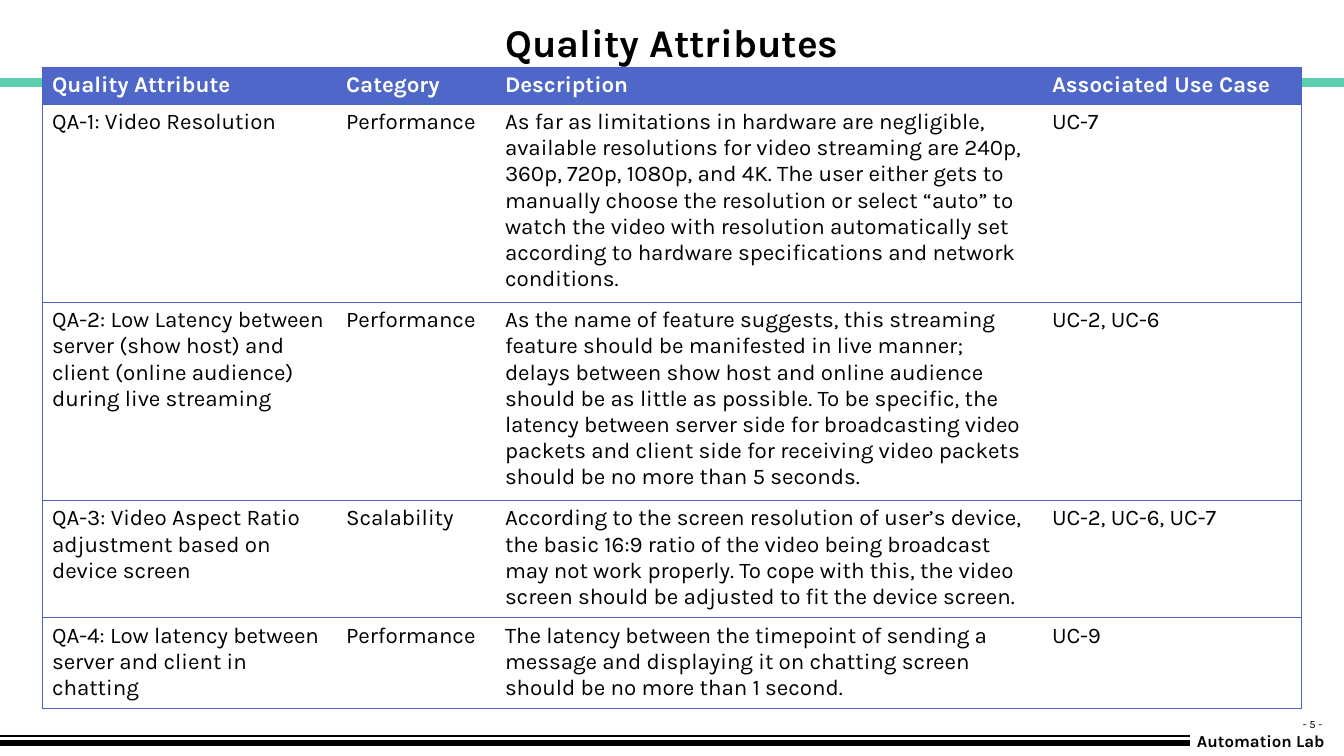
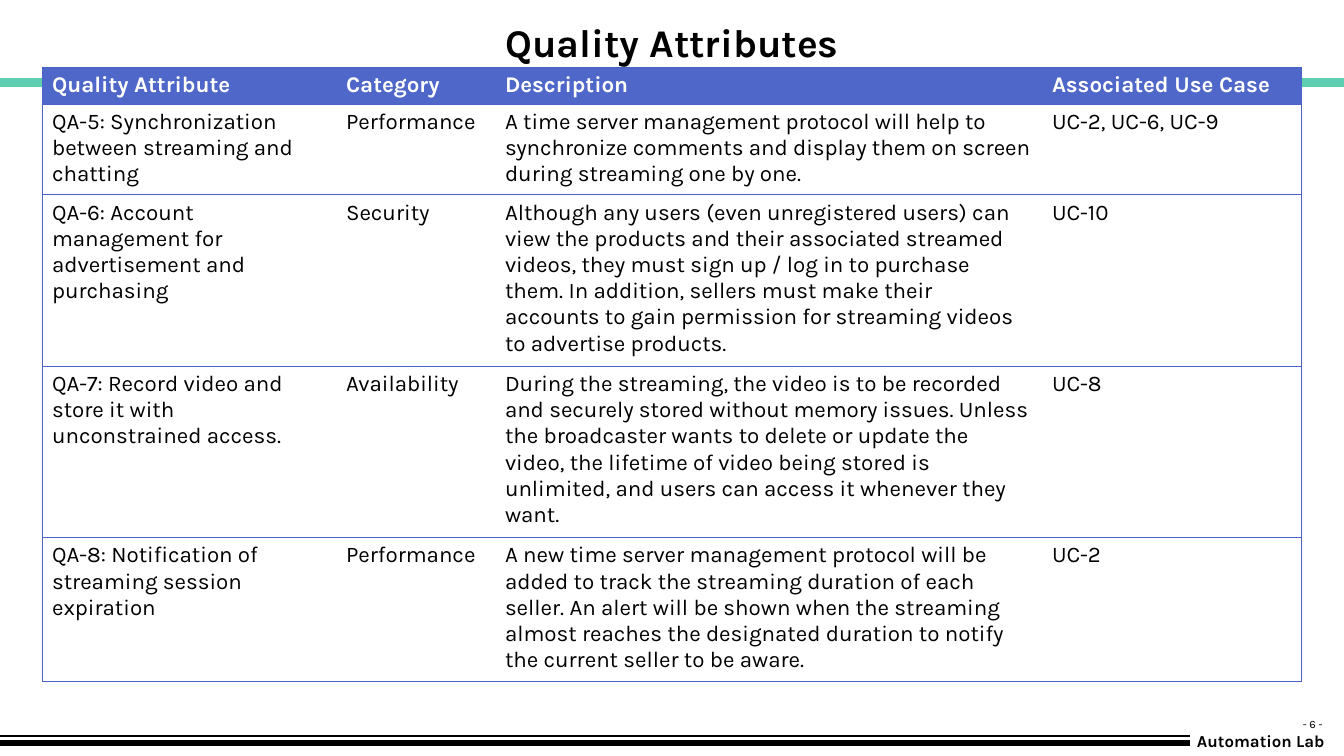
from lxml import etree
from pptx import Presentation
from pptx import util as u
from pptx.dml.color import RGBColor
from pptx.enum import shapes, text
from pptx.oxml.ns import qn

SCALE = 9071.43  # EMU in one pixel
FONT = "Karla"
HEX = {"ink": "000000", "paper": "FFFFFF", "head": "4E67C8",
       "rule": "4963C7", "mint": "5DCEAF"}
COLS = [294, 159, 547, 260]
LEFT, TOP = 42, 67
HEADS = ["Quality Attribute", "Category", "Description", "Associated Use Case"]

# Each row: lines of its tallest cell, then the four cells
FIRST = [
    (7, "QA-1: Video Resolution", "Performance",
     "As far as limitations in hardware are negligible, available resolutions "
     "for video streaming are 240p, 360p, 720p, 1080p, and 4K. The user either "
     "gets to manually choose the resolution or select “auto” to watch the "
     "video with resolution automatically set according to hardware "
     "specifications and network conditions.", "UC-7"),
    (7, "QA-2: Low Latency between server (show host) and client (online "
     "audience) during live streaming", "Performance",
     "As the name of feature suggests, this streaming feature should be "
     "manifested in live manner; delays between show host and online audience "
     "should be as little as possible. To be specific, the latency between "
     "server side for broadcasting video packets and client side for receiving "
     "video packets should be no more than 5 seconds.", "UC-2, UC-6"),
    (4, "QA-3: Video Aspect Ratio adjustment based on device screen",
     "Scalability",
     "According to the screen resolution of user’s device, the basic 16:9 "
     "ratio of the video being broadcast may not work properly. To cope with "
     "this, the video screen should be adjusted to fit the device screen.",
     "UC-2, UC-6, UC-7"),
    (3, "QA-4: Low latency between server and client in chatting",
     "Performance",
     "The latency between the timepoint of sending a message and displaying it "
     "on chatting screen should be no more than 1 second.", "UC-9"),
]
SECOND = [
    (3, "QA-5: Synchronization between streaming and chatting", "Performance",
     "A time server management protocol will help to synchronize comments and "
     "display them on screen during streaming one by one.",
     "UC-2, UC-6, UC-9"),
    (6, "QA-6: Account management for advertisement and purchasing",
     "Security",
     "Although any users (even unregistered users) can view the products and "
     "their associated streamed videos, they must sign up / log in to purchase "
     "them. In addition, sellers must make their accounts to gain permission "
     "for streaming videos to advertise products.", "UC-10"),
    (6, "QA-7: Record video and store it with unconstrained access.",
     "Availability",
     "During the streaming, the video is to be recorded and securely stored "
     "without memory issues. Unless the broadcaster wants to delete or update "
     "the video, the lifetime of video being stored is unlimited, and users "
     "can access it whenever they want.", "UC-8"),
    (5, "QA-8: Notification of streaming session expiration", "Performance",
     "A new time server management protocol will be added to track the "
     "streaming duration of each seller. An alert will be shown when the "
     "streaming almost reaches the designated duration to notify the current "
     "seller to be aware.", "UC-2"),
]


def px(n):
    """Turn pixels into EMU."""
    return u.Emu(round(n * SCALE))


def tint(name):
    """Look up a colour by name."""
    return RGBColor.from_string(HEX[name])


def write(frame, words, size, color="ink", bold=False):
    """Add one styled run to the first paragraph of a frame."""
    run = frame.paragraphs[0].add_run()
    run.text = words
    run.font.name = FONT
    run.font.size = u.Pt(size)
    run.font.bold = bold
    run.font.color.rgb = tint(color)


def label(slide, box, words, size, bold=False, wrap=False):
    """Add a text box and return its frame."""
    frame = slide.shapes.add_textbox(*map(px, box)).text_frame
    frame.word_wrap = wrap
    write(frame, words, size, bold=bold)
    return frame


def line(slide, left, right, y, color, width):
    """Draw a level line without a shadow."""
    bar = slide.shapes.add_connector(
        shapes.MSO_CONNECTOR.STRAIGHT, px(left), px(y), px(right), px(y))
    bar.line.color.rgb = tint(color)
    bar.line.width = u.Pt(width)
    etree.SubElement(bar.element.spPr, qn("a:effectLst"))


def frame_cell(cell, sides):
    """Rule the given sides of a cell and clear the others."""
    props = cell._tc.get_or_add_tcPr()
    for spot, side in enumerate("LRTB"):
        edge = etree.Element(qn("a:ln" + side), w=str(u.Pt(0.75)))
        if side in sides:
            fill = etree.SubElement(edge, qn("a:solidFill"))
            etree.SubElement(fill, qn("a:srgbClr"), val=HEX["rule"])
        else:
            etree.SubElement(edge, qn("a:noFill"))
        props.insert(spot, edge)


def grid(slide, rows):
    """Add the attribute table: a filled head, then ruled rows."""
    rows = [(1, *HEADS)] + rows
    highs = [10 + 26.2 * row[0] for row in rows]
    table = slide.shapes.add_table(
        len(rows), len(COLS), px(LEFT), px(TOP),
        px(sum(COLS)), px(sum(highs))).table
    table.horz_banding = False
    for col, wide in zip(table.columns, COLS):
        col.width = px(wide)
    for r, (row, high) in enumerate(zip(rows, highs)):
        table.rows[r].height = px(high)
        head = r == 0
        for c, words in enumerate(row[1:]):
            cell = table.cell(r, c)
            if head:
                cell.fill.solid()
                cell.fill.fore_color.rgb = tint("head")
            else:
                cell.fill.background()
            write(cell.text_frame, words, 16, "paper" if head else "ink", head)
            ends = {0: "L", len(COLS) - 1: "R"}
            frame_cell(cell, "TB" + ends.get(c, ""))


def base(slide, title, page):
    """Add what every slide shares: lines, footer and title."""
    label(slide, (1293, 712, 50, 24), f"- {page} -", 8)
    label(slide, (1187, 726, 149, 30), "Automation Lab", 12, bold=True)
    line(slide, -1, 1345, 82.5, "mint", 6)
    line(slide, 0, 1190, 743, "ink", 4.5)
    line(slide, 0, 1190, 736, "ink", 0.75)
    frame = label(slide, (37, 10, 1270, 64), title, 28, bold=True, wrap=True)
    frame.vertical_anchor = text.MSO_ANCHOR.MIDDLE
    frame.paragraphs[0].alignment = text.PP_ALIGN.CENTER


def main():
    """Build the deck."""
    deck = Presentation()
    deck.slide_width, deck.slide_height = px(1344), px(756)
    for page, rows in enumerate((FIRST, SECOND), 5):
        slide = deck.slides.add_slide(deck.slide_layouts[6])
        base(slide, "Quality Attributes", page)
        grid(slide, rows)
    deck.save("out.pptx")


main()
